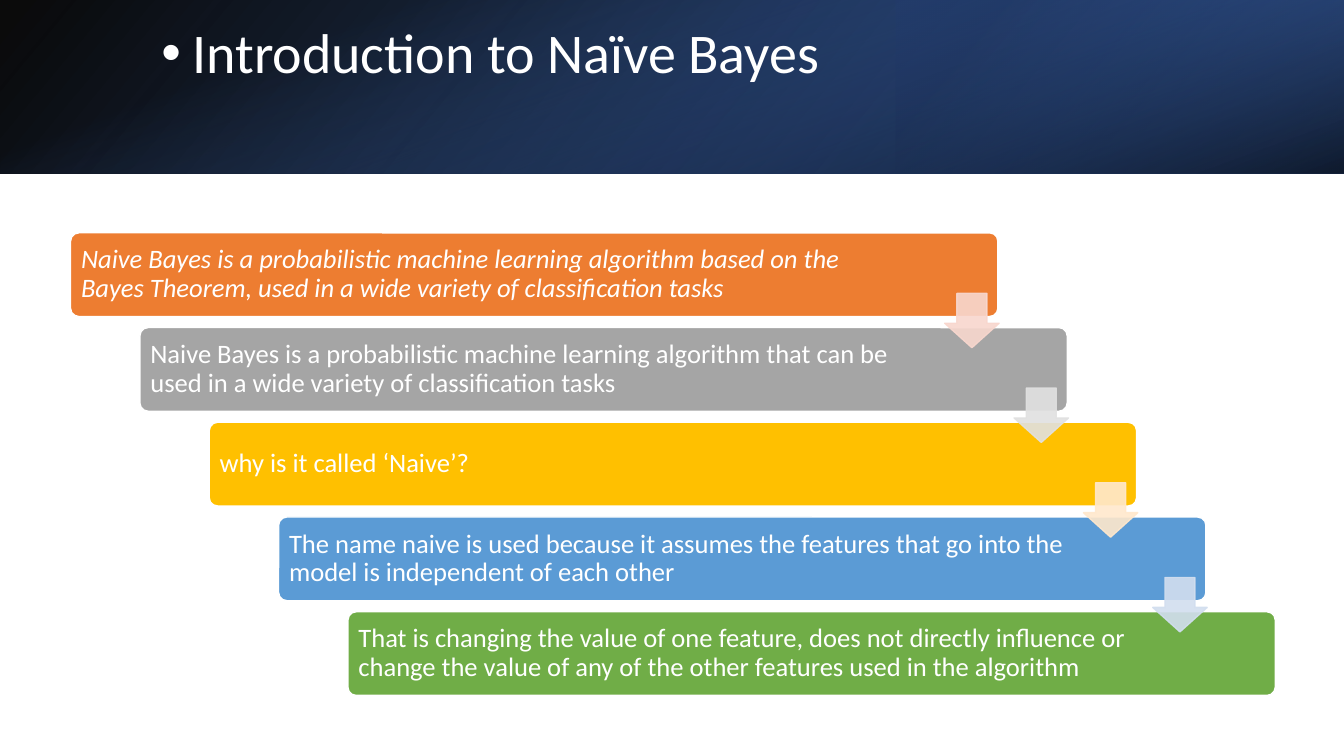
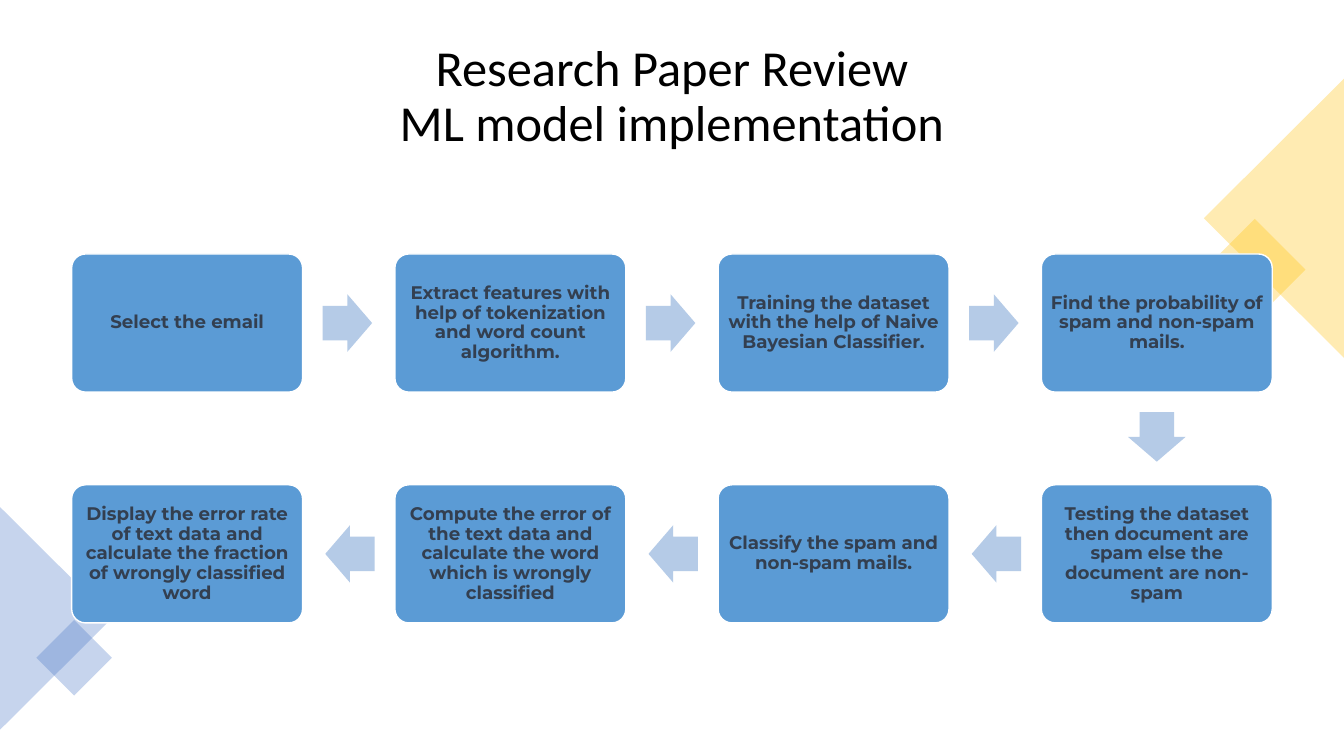
from math import atan2, degrees

from lxml.etree import SubElement
from pptx import Presentation
from pptx.dml.color import RGBColor
from pptx.enum.shapes import MSO_SHAPE
from pptx.enum.text import MSO_ANCHOR, MSO_AUTO_SIZE, PP_ALIGN
from pptx.oxml.ns import qn
from pptx.util import Inches, Pt

WHITE = RGBColor(0xFF, 0xFF, 0xFF)
BLACK = RGBColor(0x00, 0x00, 0x00)
NAVY = RGBColor(0x20, 0x38, 0x64)
DEEP_BLUE = RGBColor(0x2F, 0x55, 0x97)
ROYAL = RGBColor(0x44, 0x72, 0xC4)
ORANGE = RGBColor(0xED, 0x7D, 0x31)
GREY = RGBColor(0xA5, 0xA5, 0xA5)
GOLD = RGBColor(0xFF, 0xC0, 0x00)
SKY = RGBColor(0x5B, 0x9B, 0xD5)
GREEN = RGBColor(0x70, 0xAD, 0x47)
PALE_ORANGE = RGBColor(0xF8, 0xD7, 0xCE)
PALE_GREY = RGBColor(0xE1, 0xE1, 0xE1)
PALE_GOLD = RGBColor(0xFF, 0xE8, 0xCC)
PALE_SKY = RGBColor(0xD2, 0xDE, 0xEF)
FLOW_ARROW = RGBColor(0xB5, 0xCB, 0xE7)
SLATE = RGBColor(0x33, 0x3F, 0x50)

STEP_FONT = {"name": "Calibri", "size": Pt(19)}
FLOW_FONT = {"name": "Montserrat", "size": Pt(13), "bold": True}

STEPS = [
    ("Naive Bayes is a probabilistic machine learning algorithm based on the "
     "Bayes Theorem, used in a wide variety of classification tasks", ORANGE),
    ("Naive Bayes is a probabilistic machine learning algorithm that can be "
     "used in a wide variety of classification tasks", GREY),
    ("why is it called ‘Naive’?", GOLD),
    ("The name naive is used because it assumes the features that go into the "
     "model is independent of each other", SKY),
    ("That is changing the value of one feature, does not directly influence or "
     "change the value of any of the other features used in the algorithm", GREEN),
]
STEP_ARROWS = [PALE_ORANGE, PALE_GREY, PALE_GOLD, PALE_SKY]

FLOW = [
    "Select the email",
    "Extract features with help of tokenization and word count algorithm.",
    "Training the dataset with the help of Naive Bayesian Classifier.",
    "Find the probability of spam and non-spam mails.",
    "Testing the dataset then document are spam else the document are non-spam",
    "Classify the spam and non-spam mails.",
    "Compute the error of the text data and calculate the word which is wrongly classified",
    "Display the error rate of text data and calculate the fraction of wrongly classified word",
]


def apply(target, values):
    for name, value in values.items():
        setattr(target, name, value)


class Deck:
    """Style and current slide; boxes are (x, y, w, h) in percent of the slide."""

    def __init__(self):
        self.prs = Presentation()
        self.prs.slide_width = Inches(13.33)
        self.prs.slide_height = Inches(7.5)

    def new_slide(self):
        self.s = self.prs.slides.add_slide(self.prs.slide_layouts[5])

    def frame(self, box):
        sizes = (self.prs.slide_width, self.prs.slide_height) * 2
        return [round(size * share / 100) for size, share in zip(sizes, box)]

    def title(self, box, lines, size, color, align, anchor, bullet=False):
        sp = self.s.shapes.title
        apply(sp, dict(zip(("left", "top", "width", "height"), self.frame(box))))
        self.s.shapes.element.append(sp.element)  # in front of the bands
        tf = sp.text_frame
        apply(tf, {"auto_size": MSO_AUTO_SIZE.NONE, "word_wrap": True,
                   "vertical_anchor": anchor})
        p = tf.paragraphs[0]
        apply(p, {"alignment": align, "line_spacing": 0.9})
        for i, line in enumerate(lines):
            if i:
                p.add_line_break()
            r = p.add_run()
            r.text = line
            apply(r.font, {"name": "Calibri", "size": Pt(size)})
            r.font.color.rgb = color
        if bullet:
            pPr = p._p.get_or_add_pPr()
            pPr.set("marL", str(Inches(0.31)))
            pPr.set("indent", str(-Inches(0.31)))
            SubElement(pPr, qn("a:buFont")).set("typeface", "Arial")
            SubElement(pPr, qn("a:buChar")).set("char", "•")

    def shape(self, kind, box, color=None, line=None, alpha=100, turn=0, adj=()):
        sp = self.s.shapes.add_shape(kind, *self.frame(box))
        sp.shadow.inherit = False
        sp.rotation = turn
        for i, value in enumerate(adj):
            sp.adjustments[i] = value
        if color is None:
            sp.fill.background()
        else:
            sp.fill.solid()
            sp.fill.fore_color.rgb = color
        if line is None:
            sp.line.fill.background()
        else:
            sp.line.color.rgb = line
            sp.line.width = Pt(1)
        if alpha < 100:
            for clr in sp.element.spPr.iter(qn("a:srgbClr")):
                SubElement(clr, qn("a:alpha")).set("val", str(alpha * 1000))
        return sp

    def band(self, box, stops, angle, turn=0, flip=False):
        """Gradient rectangle; each stop is (position, colour, opacity)."""
        sp = self.shape(MSO_SHAPE.RECTANGLE, box, turn=turn)
        spPr = sp.element.spPr
        if flip:
            spPr.find(qn("a:xfrm")).set("flipH", "1")
        grad = SubElement(spPr, qn("a:gradFill"))
        gs_list = SubElement(grad, qn("a:gsLst"))
        for position, color, alpha in stops:
            gs = SubElement(gs_list, qn("a:gs"))
            gs.set("pos", str(position * 1000))
            clr = SubElement(gs, qn("a:srgbClr"))
            clr.set("val", str(color))
            SubElement(clr, qn("a:alpha")).set("val", str(alpha * 1000))
        lin = SubElement(grad, qn("a:lin"))
        lin.set("ang", str(angle * 60000))
        lin.set("scaled", "0")
        spPr.replace(spPr.find(qn("a:noFill")), grad)

    def card(self, box, text, color, font, ink, align, inset, right_inset):
        sp = self.shape(MSO_SHAPE.ROUNDED_RECTANGLE, box, color, WHITE, adj=[0.1])
        tf = sp.text_frame
        apply(tf, {"word_wrap": True, "vertical_anchor": MSO_ANCHOR.MIDDLE,
                   "margin_left": Inches(inset), "margin_right": Inches(right_inset),
                   "margin_top": Inches(inset), "margin_bottom": Inches(inset)})
        p = tf.paragraphs[0]
        apply(p, {"alignment": align, "line_spacing": 0.9})
        r = p.add_run()
        r.text = text
        apply(r.font, font)
        r.font.color.rgb = ink


def introduction(deck):
    deck.new_slide()
    height = 22.93
    deck.band((0, 0, 100, height), [(0, BLACK, 96), (100, DEEP_BLUE, 100)],
              140, flip=True)
    deck.band((66.67, 0, 33.33, height), [(19, NAVY, 68), (100, ROYAL, 79)],
              320, turn=180, flip=True)
    deck.band((43.55, -77.4, 12.9, 177.73), [(23, ROYAL, 0), (99, BLACK, 74)],
              340, turn=90)
    deck.title((11.25, 2.67, 82.37, 12.8), ["Introduction to Naïve Bayes"], 40,
               WHITE, PP_ALIGN.LEFT, MSO_ANCHOR.TOP, bullet=True)

    corners = [(5.25 + 5.16 * i, 30.8 + 12.53 * i) for i in range(len(STEPS))]
    for i, ((x, y), (text, color)) in enumerate(zip(corners, STEPS)):
        deck.card((x, y, 69, 11.07), text, color, {**STEP_FONT, "italic": i == 0},
                  WHITE, PP_ALIGN.LEFT, 0.08, 1.28)
    for (x, y), color in zip(corners, STEP_ARROWS):
        deck.shape(MSO_SHAPE.DOWN_ARROW, (x + 65.04, y + 8, 4.05, 7.2), color,
                   color, alpha=90, adj=[0.55, 0.45])


def implementation(deck):
    deck.new_slide()
    for kind, box, color, turn in [
        (MSO_SHAPE.RECTANGLE, (90.7, 30.93, 5.33, 9.47), GOLD, 45),
        (MSO_SHAPE.ISOSCELES_TRIANGLE, (84.4, 19.6, 20.78, 18.53), GOLD, 270),
        (MSO_SHAPE.ISOSCELES_TRIANGLE, (-4.13, 74.4, 16.58, 14.8), ROYAL, 90),
        (MSO_SHAPE.RECTANGLE, (3.53, 83.47, 3.98, 7.07), ROYAL, 45),
    ]:
        deck.shape(kind, box, color, alpha=30, turn=turn)
    deck.title((5.25, 4.67, 89.5, 16.53),
               ["Research Paper Review", "ML model implementation"], 36,
               BLACK, PP_ALIGN.CENTER, MSO_ANCHOR.MIDDLE)

    w, h = 17.18, 18.27
    arrow_w, arrow_h = 3.68, 7.6
    cells = [(col, 0) for col in range(4)] + [(col, 1) for col in reversed(range(4))]
    corners = [(5.33 + 24.05 * col, 33.6 + 30.53 * row) for col, row in cells]
    for (x, y), text in zip(corners, FLOW):
        deck.card((x, y, w, h), text, SKY, FLOW_FONT, SLATE, PP_ALIGN.CENTER,
                  0.05, 0.05)
    for (x, y), (col, row), (next_col, next_row) in zip(corners, cells, cells[1:]):
        dx, dy = next_col - col, next_row - row
        center_x = x + w / 2 + dx * (w / 2 + 3.34)
        center_y = y + h / 2 + dy * (h / 2 + 5.93)
        deck.shape(MSO_SHAPE.RIGHT_ARROW,
                   (center_x - arrow_w / 2, center_y - arrow_h / 2, arrow_w, arrow_h),
                   FLOW_ARROW, turn=degrees(atan2(dy, dx)), adj=[0.6, 0.5])


def main():
    deck = Deck()
    introduction(deck)
    implementation(deck)
    deck.prs.save("out.pptx")


if __name__ == "__main__":
    main()
